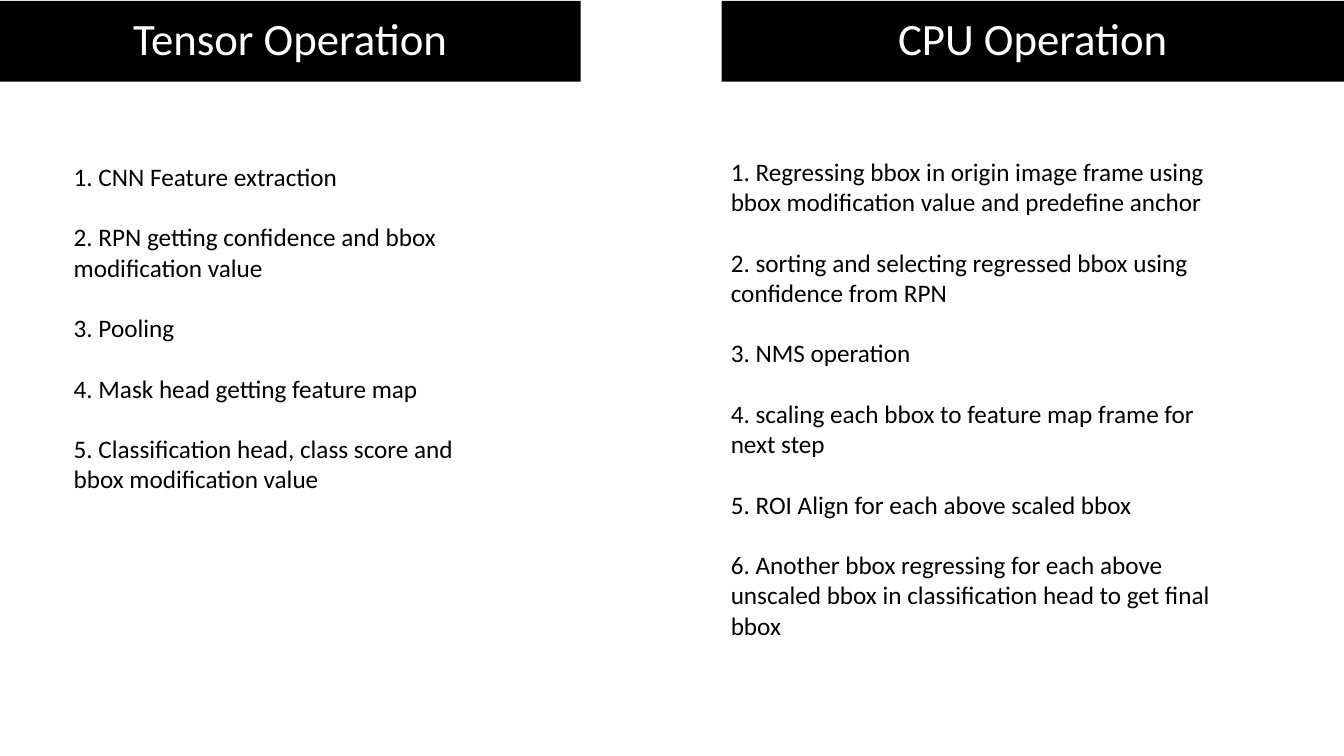
from pptx import Presentation
from pptx import util as u
from pptx.dml.color import RGBColor
from pptx.enum import text
from pptx.oxml.ns import qn

COLORS = {"band": "000000", "heading": "FFFFFF", "steps": "000000"}

TENSOR_STEPS = [
    "1. CNN Feature extraction",
    "2. RPN getting confidence and bbox modification value",
    "3. Pooling",
    "4. Mask head getting feature map",
    "5. Classification head, class score and bbox modification value",
]
CPU_STEPS = [
    "1. Regressing bbox in origin image frame using bbox modification value and predefine anchor",
    "2. sorting and selecting regressed bbox using confidence from RPN",
    "3. NMS operation",
    "4. scaling each bbox to feature map frame for next step",
    "5. ROI Align for each above scaled bbox",
    "6. Another bbox regressing for each above unscaled bbox in classification head to get final bbox",
]


class ComparisonSlide:
    """Fills the placeholders of a comparison slide in one style."""

    font = "Calibri"

    def __init__(self, deck):
        self.slide = deck.slides.add_slide(deck.slide_layouts[4])
        self.places = {p.placeholder_format.idx: p for p in self.slide.placeholders}

    def place(self, idx, box, anchor):
        holder = self.places.pop(idx)
        holder.left, holder.top, holder.width, holder.height = map(u.Pt, box)
        frame = holder.text_frame
        frame.word_wrap = True
        frame.auto_size = text.MSO_AUTO_SIZE.NONE
        frame.vertical_anchor = anchor
        return holder

    def add_wording(self, paragraph, wording, size, color):
        props = paragraph._p.get_or_add_pPr()
        props.set("marL", "0")
        props.set("indent", "0")
        paragraph.space_before = u.Pt(0)
        run = paragraph.add_run()
        run.text = wording
        run.font.name = self.font
        run.font.size = u.Pt(size)
        run.font.bold = False
        run.font.color.rgb = RGBColor.from_string(COLORS[color])

    def heading(self, idx, wording, box):
        band = self.place(idx, box, text.MSO_ANCHOR.MIDDLE)
        band.fill.solid()
        band.fill.fore_color.rgb = RGBColor.from_string(COLORS["band"])
        line = band.text_frame.paragraphs[0]
        line.alignment = text.PP_ALIGN.CENTER
        line.line_spacing = 0.9
        self.add_wording(line, wording, 32, "heading")

    def steps(self, idx, wordings, box):
        frame = self.place(idx, box, text.MSO_ANCHOR.TOP).text_frame
        for number, wording in enumerate(wordings):
            step = frame.add_paragraph() if number else frame.paragraphs[0]
            self.add_wording(step, wording, 18, "steps")
            step.space_after = u.Pt(21.6)
            props = step._p.get_or_add_pPr()
            props.append(props.makeelement(qn("a:buNone"), {}))

    def drop_unused(self):
        for holder in self.places.values():
            holder.element.getparent().remove(holder.element)


def main():
    deck = Presentation()
    deck.slide_width, deck.slide_height = u.Pt(960), u.Pt(540)
    operations = ComparisonSlide(deck)
    operations.heading(0, "Tensor Operation", (0, 0.7, 414.7, 57.6))
    operations.heading(3, "CPU Operation", (515.5, 0.7, 444.5, 57.6))
    operations.steps(2, TENSOR_STEPS, (45.4, 111.6, 298.8, 269.3))
    operations.steps(4, CPU_STEPS, (514.8, 108, 379.4, 399.6))
    operations.drop_unused()
    deck.save("out.pptx")


if __name__ == "__main__":
    main()
